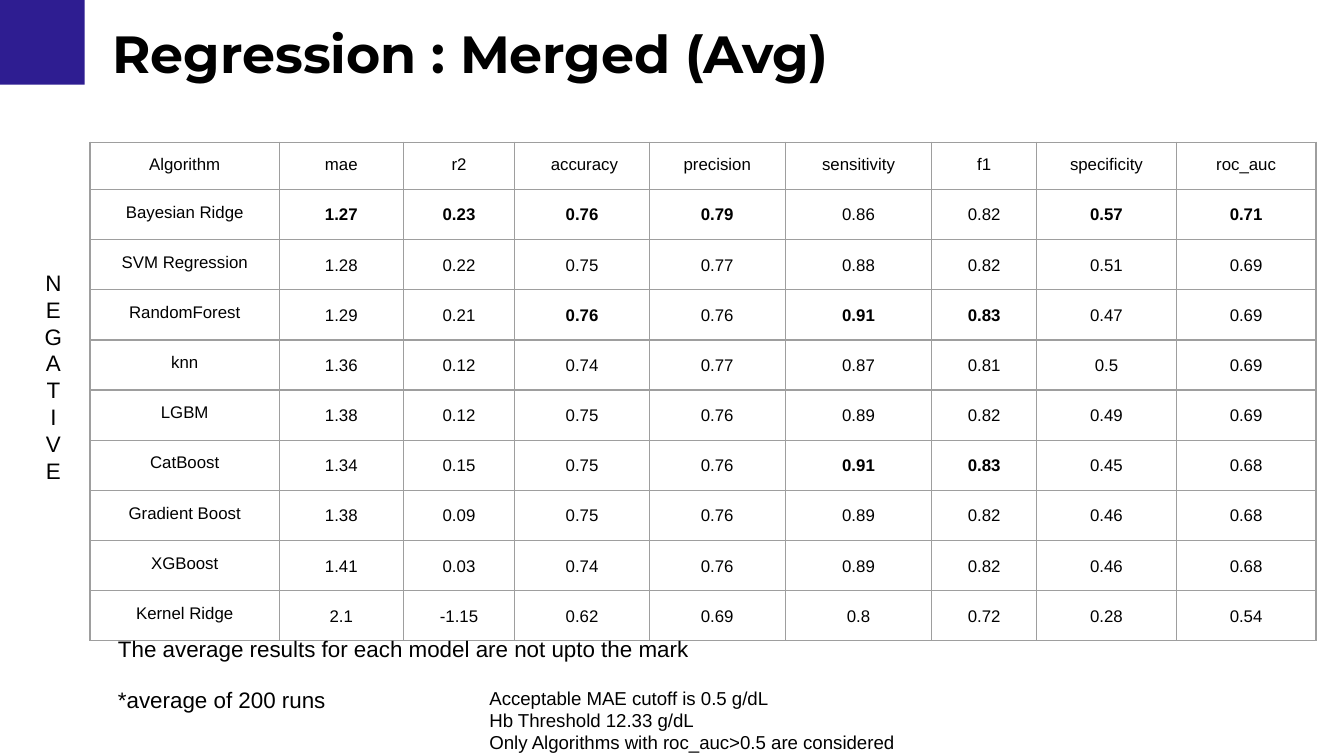
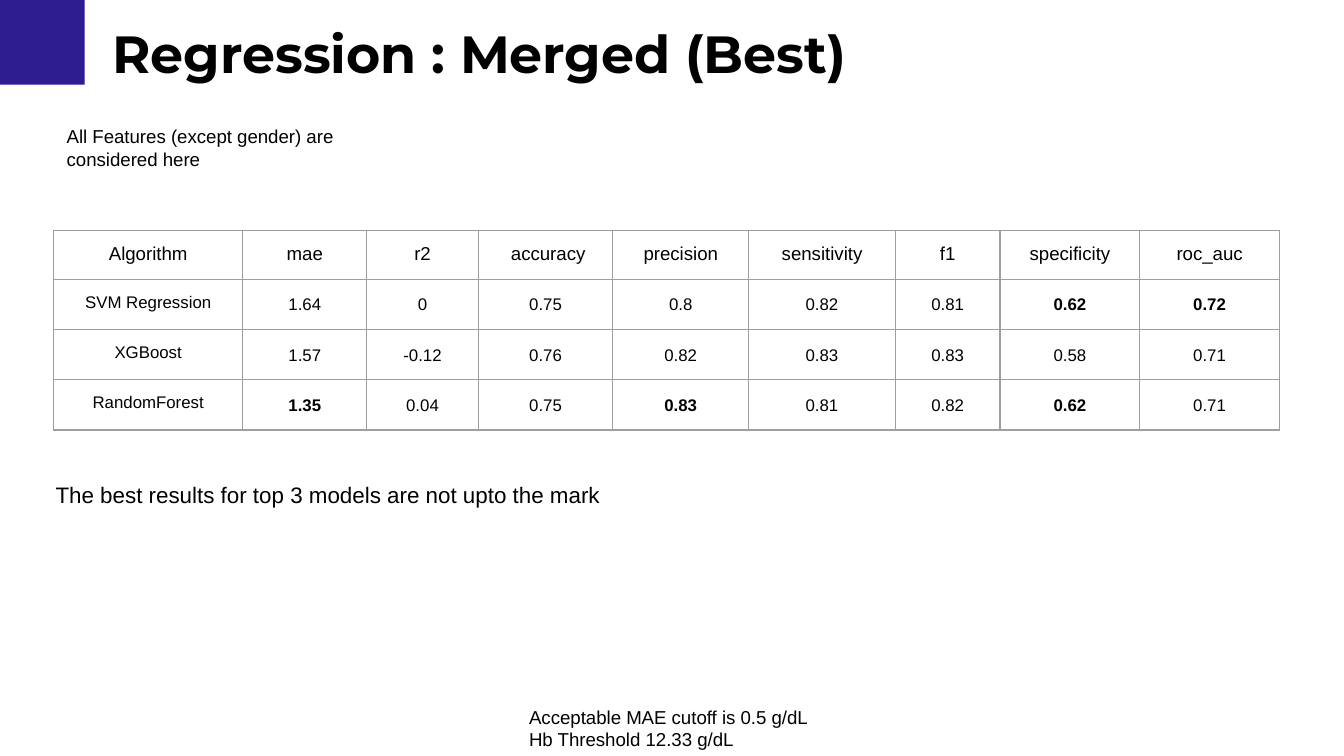
from dataclasses import dataclass

from lxml.etree import SubElement
from pptx import Presentation
from pptx.dml.color import RGBColor as RGB
from pptx.enum.shapes import MSO_SHAPE as SHAPE
from pptx.enum.text import MSO_AUTO_SIZE as FIT, PP_ALIGN as ALIGN
from pptx.oxml.ns import qn
from pptx.oxml.xmlchemy import OxmlElement as Element
from pptx.util import Cm, Pt

HEAD = ("Algorithm", "mae", "r2", " accuracy", "precision",
        "sensitivity", "f1", "specificity", "roc_auc")

# A star marks a score set in bold.
MEANS = (
    ("Bayesian Ridge", "1.27* 0.23* 0.76* 0.79* 0.86 0.82 0.57* 0.71*"),
    ("SVM Regression", "1.28 0.22 0.75 0.77 0.88 0.82 0.51 0.69"),
    ("RandomForest", "1.29 0.21 0.76* 0.76 0.91* 0.83* 0.47 0.69"),
    ("knn", "1.36 0.12 0.74 0.77 0.87 0.81 0.5 0.69"),
    ("LGBM", "1.38 0.12 0.75 0.76 0.89 0.82 0.49 0.69"),
    ("CatBoost", "1.34 0.15 0.75 0.76 0.91* 0.83* 0.45 0.68"),
    ("Gradient Boost", "1.38 0.09 0.75 0.76 0.89 0.82 0.46 0.68"),
    ("XGBoost", "1.41 0.03 0.74 0.76 0.89 0.82 0.46 0.68"),
    ("Kernel Ridge", "2.1 -1.15 0.62 0.69 0.8 0.72 0.28 0.54"),
)
BESTS = (
    ("SVM Regression", "1.64 0 0.75 0.8 0.82 0.81 0.62* 0.72*"),
    ("XGBoost", "1.57 -0.12 0.76 0.82 0.83 0.83 0.58 0.71"),
    ("RandomForest", "1.35* 0.04 0.75 0.83* 0.81 0.82 0.62* 0.71"),
)
LIMITS = ("Acceptable MAE cutoff is 0.5 g/dL", "Hb Threshold 12.33 g/dL")


@dataclass(frozen=True)
class Theme:
    ink: RGB = RGB(0, 0, 0)
    brand: RGB = RGB(0x2E, 0x1D, 0x91)
    grid: str = "9E9E9E"
    face: str = "Arial"
    display: str = "Montserrat"
    title: int = 28
    body: int = 12
    note: int = 10
    score: int = 9
    rule: Pt = Pt(0.75)
    inset: Pt = Pt(7.2)


T = Theme()
COLS = (3.58, 2.34, 2.11, 2.54, 2.57, 2.77, 1.98, 2.64, 2.64)
ROW = 0.74

# Boxes: left, top, width, height in cm.
SLIDES = (
    dict(title="Regression : Merged (Avg)", rows=MEANS, at=(1.7, 2.69),
         size=T.score, notes=(
             (tuple("NEGATIVE"), (0.51, 4.83, 1, 4.62), T.body, ALIGN.CENTER),
             (LIMITS + ("Only Algorithms with roc_auc>0.5 are considered",),
              (9, 12.72, 8.6, 1.8), T.note, ALIGN.LEFT),
             (("*average of 200 runs",), (1.98, 12.72, 4.47, 1.14),
              T.body, ALIGN.LEFT),
             (("The average results for each model are not upto the mark",),
              (1.98, 11.76, 13.36, 1.02), T.body, ALIGN.LEFT))),
    dict(title="Regression : Merged (Best)", rows=BESTS, at=(1.01, 4.35),
         size=T.note, notes=(
             (LIMITS, (9.75, 13.08, 5.9, 1.37), T.note, ALIGN.LEFT),
             (("All Features (except gender) are considered here",),
              (1.01, 2.11, 5.9, 1.37), T.note, ALIGN.LEFT),
             (("The best results for top 3 models are not upto the mark",),
              (0.8, 8.84, 13.36, 1.02), T.body, ALIGN.LEFT))),
)


def style(para, size, face=T.face, bold=False, align=ALIGN.LEFT):
    para.alignment = align
    font = para.font
    font.name, font.size, font.bold = face, Pt(size), bold
    font.color.rgb = T.ink


def pad(item):
    """Give a cell or a text frame the same inset on all sides."""
    item.margin_left = item.margin_right = T.inset
    item.margin_top = item.margin_bottom = T.inset


def write(slide, lines, box, size, align=ALIGN.LEFT, **look):
    frame = slide.shapes.add_textbox(*map(Cm, box)).text_frame
    frame.word_wrap = True
    frame.auto_size = FIT.SHAPE_TO_FIT_TEXT
    pad(frame)
    frame.text = "\n".join(lines)
    for para in frame.paragraphs:
        style(para, size, align=align, **look)


def edge(cell):
    """Draw a thin line on each side of a cell."""
    props = cell._tc.get_or_add_tcPr()
    for spot, side in enumerate(("a:lnL", "a:lnR", "a:lnT", "a:lnB")):
        line = Element(side)
        line.set("w", str(T.rule))
        fill = SubElement(line, qn("a:solidFill"))
        SubElement(fill, qn("a:srgbClr"), val=T.grid)
        props.insert(spot, line)


def fill_cell(cell, text, size, gap=None):
    cell.fill.background()
    edge(cell)
    pad(cell)
    cell.text = text.rstrip("*")
    para = cell.text_frame.paragraphs[0]
    style(para, size, bold=text.endswith("*"), align=ALIGN.CENTER)
    if gap:
        para.line_spacing = gap


def add_scores(slide, rows, at, size):
    grid = [HEAD] + [(name, *vals.split()) for name, vals in rows]
    box = (*at, sum(COLS), ROW * len(grid))
    table = slide.shapes.add_table(len(grid), len(HEAD), *map(Cm, box)).table
    table.first_row = table.horz_banding = False
    for col, width in zip(table.columns, COLS):
        col.width = Cm(width)
    for r, texts in enumerate(grid):
        table.rows[r].height = Cm(ROW)
        for c, text in enumerate(texts):
            fill_cell(table.cell(r, c), text, T.score if r else size,
                      1.15 if r and c else None)


def add_base(deck, title):
    slide = deck.slides.add_slide(deck.slide_layouts[6])
    mark = slide.shapes.add_shape(SHAPE.RECTANGLE, 0, 0, Cm(1.6), Cm(1.6))
    mark.shadow.inherit = False
    mark.fill.solid()
    mark.fill.fore_color.rgb = T.brand
    mark.line.fill.background()
    write(slide, [title], (1.88, 0.15, 21.44, 1.7), T.title,
          face=T.display, bold=True)
    return slide


def main():
    deck = Presentation()
    deck.slide_width, deck.slide_height = Cm(25.4), Cm(14.29)
    for page in SLIDES:
        slide = add_base(deck, page["title"])
        add_scores(slide, page["rows"], page["at"], page["size"])
        for note in page["notes"]:
            write(slide, *note)
    deck.save("out.pptx")


if __name__ == "__main__":
    main()
